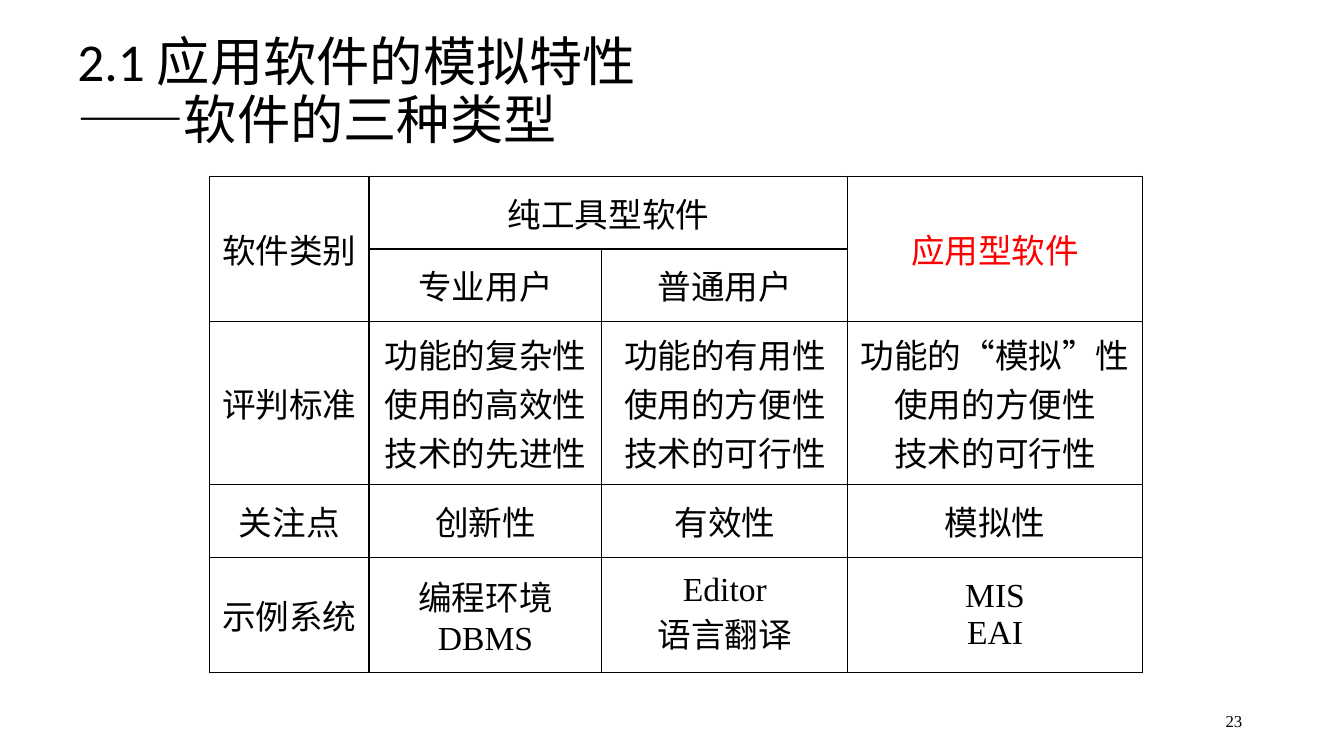
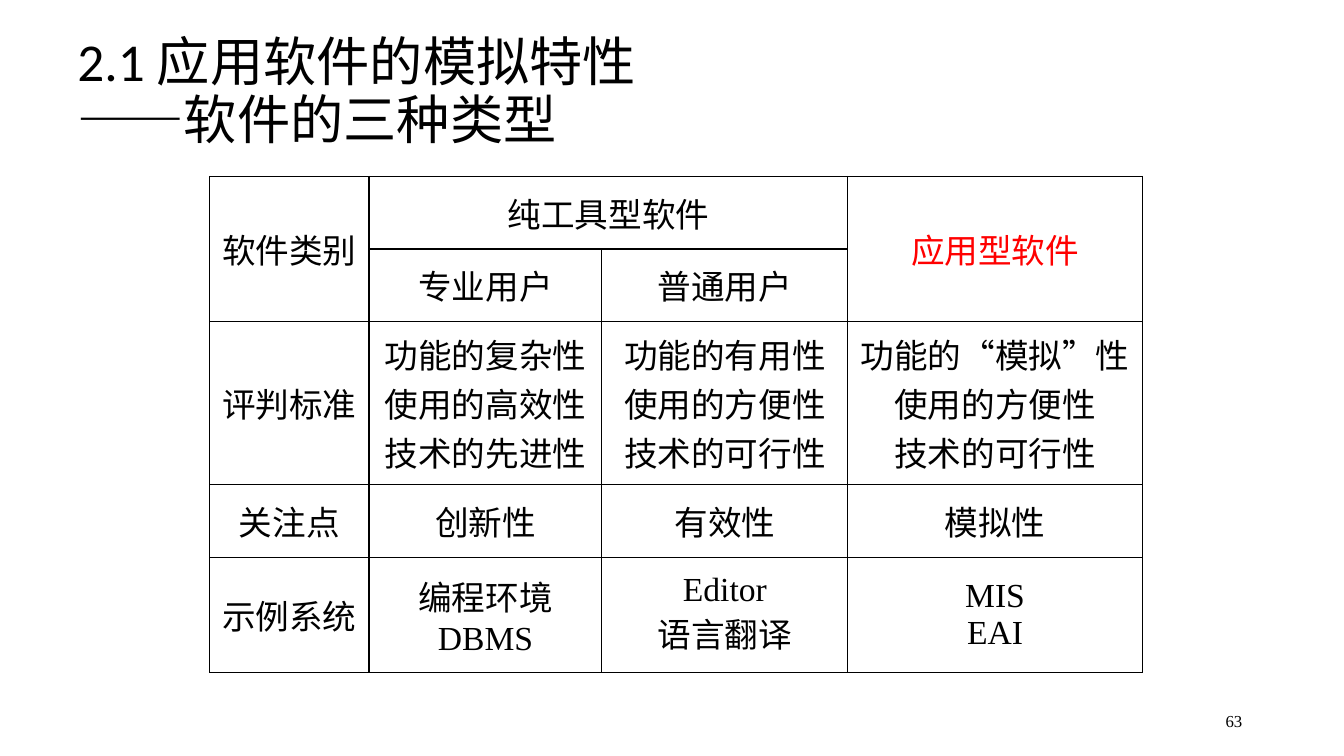
from lxml import etree
from pptx import Presentation
from pptx.dml.color import RGBColor
from pptx.enum.lang import MSO_LANGUAGE_ID
from pptx.enum.text import MSO_ANCHOR, PP_ALIGN
from pptx.oxml.ns import qn
from pptx.util import Inches, Pt

MIDDLE = MSO_ANCHOR.MIDDLE
CENTER, LEFT, RIGHT = PP_ALIGN.CENTER, PP_ALIGN.LEFT, PP_ALIGN.RIGHT
CHINESE = MSO_LANGUAGE_ID.SIMPLIFIED_CHINESE

BLACK = RGBColor(0x00, 0x00, 0x00)
RED = RGBColor(0xFF, 0x00, 0x00)
WHITE = RGBColor(0xFF, 0xFF, 0xFF)

# Text formats
TITLE = {"name": "Calibri", "size": Pt(38), "language_id": CHINESE}
TITLE_DASH = {**TITLE, "name": "Arial"}
BODY = {"name": "Times New Roman", "size": Pt(24), "language_id": CHINESE}
QUOTE = {**BODY, "name": "Arial"}
PAGE_NUMBER = {"name": "Times New Roman", "size": Pt(12)}

# Table content: each cell is a list of lines, None is covered by a merge
COLUMN_WIDTHS = [1.58, 2.31, 2.44, 2.92]
ROW_HEIGHTS = [0.72, 0.72, 1.62, 0.72, 1.14]
MERGES = [((0, 0), (1, 0)), ((0, 1), (0, 2)), ((0, 3), (1, 3))]
HIGHLIGHT = (0, 3)
ROWS = [
    [["软件类别"], ["纯工具型软件"], None, ["应用型软件"]],
    [None, ["专业用户"], ["普通用户"], None],
    [["评判标准"],
     ["功能的复杂性", "使用的高效性", "技术的先进性"],
     ["功能的有用性", "使用的方便性", "技术的可行性"],
     ["功能的“模拟”性", "使用的方便性", "技术的可行性"]],
    [["关注点"], ["创新性"], ["有效性"], ["模拟性"]],
    [["示例系统"], ["编程环境", "DBMS"], ["Editor", "语言翻译"], ["MIS", "EAI"]],
]
PAGES = ["23", "63"]


def add_run(paragraph, text, text_format, color=BLACK):
    run = paragraph.add_run()
    run.text = text
    for name, value in text_format.items():
        setattr(run.font, name, value)
    run.font.color.rgb = color


def add_text_box(slide, left, top, width, height, alignment):
    """Add a wrapped, middle-anchored box and return its first paragraph."""
    box = slide.shapes.add_textbox(
        Inches(left), Inches(top), Inches(width), Inches(height))
    box.text_frame.word_wrap = True
    box.text_frame.vertical_anchor = MIDDLE
    paragraph = box.text_frame.paragraphs[0]
    paragraph.alignment = alignment
    return paragraph


def add_title(slide):
    paragraph = add_text_box(slide, 0.67, 0.3, 12, 1.25, LEFT)
    paragraph.line_spacing = 0.9
    add_run(paragraph, "2.1 应用软件的模拟特性", TITLE)
    paragraph.add_line_break()
    add_run(paragraph, "——", TITLE_DASH)
    add_run(paragraph, "软件的三种类型", TITLE)


def add_page_number(slide, number):
    paragraph = add_text_box(slide, 9.42, 6.95, 3, 0.4, RIGHT)
    add_run(paragraph, number, PAGE_NUMBER)


def set_borders(cell, color=BLACK, width=Pt(1)):
    properties = cell._tc.get_or_add_tcPr()
    for index, side in enumerate(("a:lnL", "a:lnR", "a:lnT", "a:lnB")):
        line = etree.Element(qn(side), w=str(width))
        fill = etree.SubElement(line, qn("a:solidFill"))
        etree.SubElement(fill, qn("a:srgbClr"), val=str(color))
        properties.insert(index, line)


def add_line(paragraph, text, color):
    """Write one cell line, with its quotation marks in their own font."""
    paragraph.alignment = CENTER
    for part in text.replace("“", "|“|").replace("”", "|”|").split("|"):
        add_run(paragraph, part, QUOTE if part in ("“", "”") else BODY, color)


def fill_cell(cell, lines, color):
    cell.vertical_anchor = MIDDLE
    text_frame = cell.text_frame
    for index, text in enumerate(lines):
        paragraph = text_frame.add_paragraph() if index else text_frame.paragraphs[0]
        add_line(paragraph, text, color)


def add_software_table(slide):
    table = slide.shapes.add_table(
        len(ROW_HEIGHTS), len(COLUMN_WIDTHS), Inches(2.08), Inches(1.75),
        Inches(sum(COLUMN_WIDTHS)), Inches(sum(ROW_HEIGHTS))).table
    table.first_row = table.horz_banding = False
    for column, width in zip(table.columns, COLUMN_WIDTHS):
        column.width = Inches(width)
    for row, height in zip(table.rows, ROW_HEIGHTS):
        row.height = Inches(height)
    for first, last in MERGES:
        table.cell(*first).merge(table.cell(*last))
    for row_index, row in enumerate(ROWS):
        for column_index, lines in enumerate(row):
            position = (row_index, column_index)
            cell = table.cell(*position)
            cell.fill.background()
            set_borders(cell)
            if lines:
                fill_cell(cell, lines, RED if position == HIGHLIGHT else BLACK)


def main():
    presentation = Presentation()
    presentation.slide_width = Inches(13.33)
    presentation.slide_height = Inches(7.5)
    background = presentation.slide_master.background.fill
    background.solid()
    background.fore_color.rgb = WHITE
    blank_layout = presentation.slide_layouts[6]
    for number in PAGES:
        slide = presentation.slides.add_slide(blank_layout)
        add_title(slide)
        add_software_table(slide)
        add_page_number(slide, number)
    presentation.save("out.pptx")


if __name__ == "__main__":
    main()
